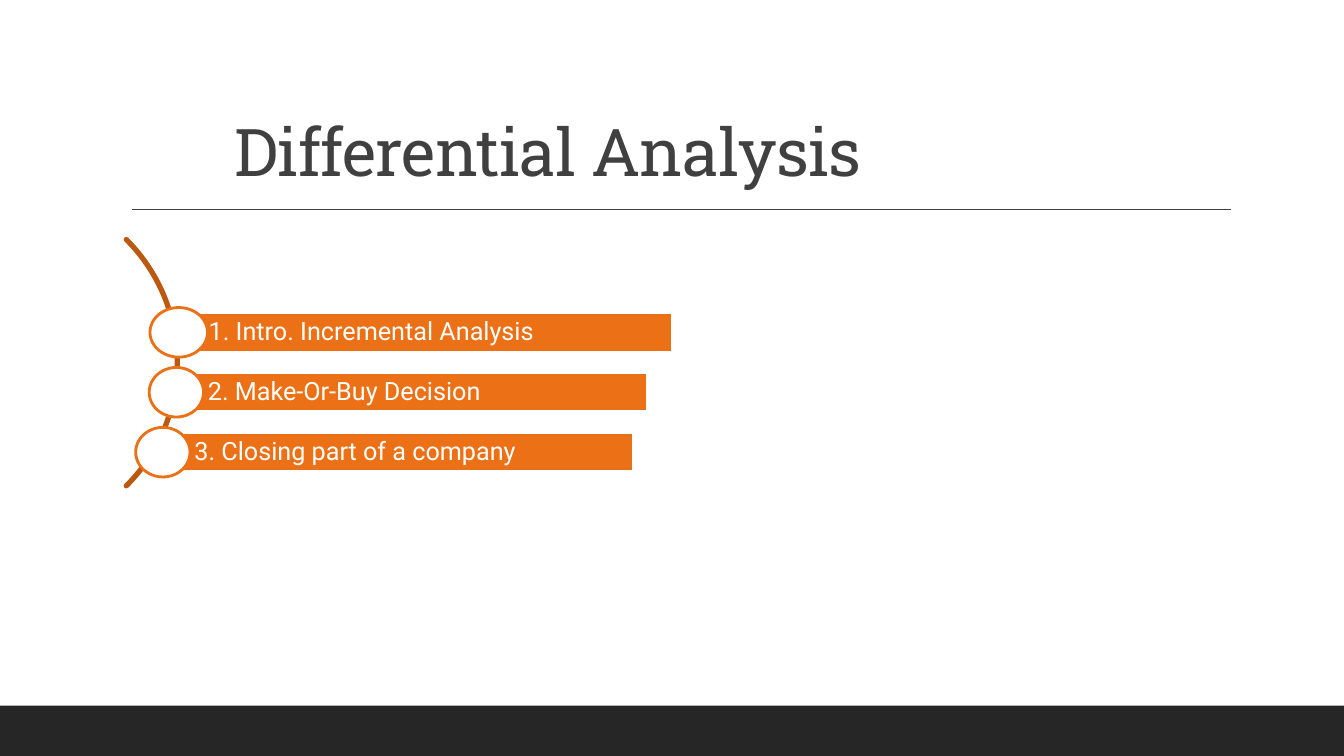
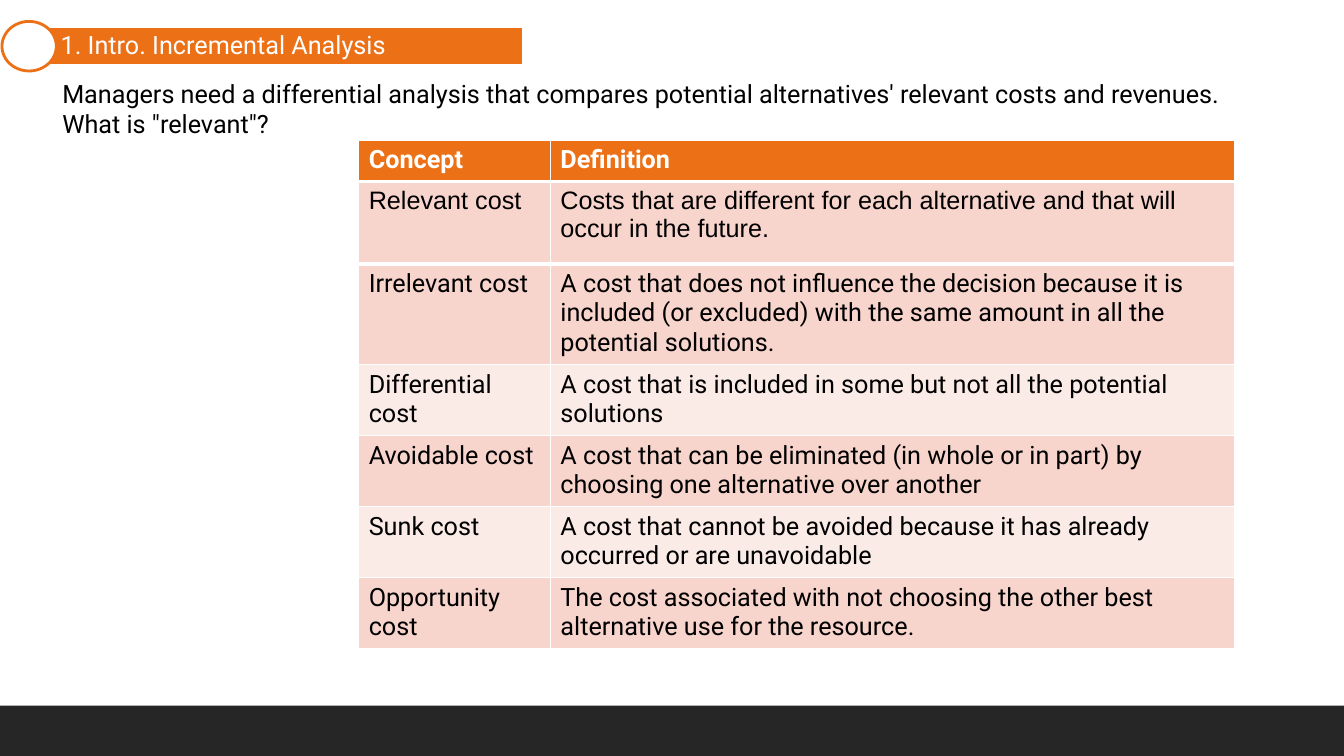
from math import cos, radians, sin

from lxml.etree import SubElement
from pptx import Presentation
from pptx.dml.color import RGBColor
from pptx.enum.shapes import MSO_CONNECTOR, MSO_SHAPE
from pptx.enum.text import MSO_ANCHOR, PP_ALIGN
from pptx.oxml.ns import qn
from pptx.util import Cm, Pt

WHITE = RGBColor(0xFF, 0xFF, 0xFF)
BLACK = RGBColor(0, 0, 0)
GREY = RGBColor(0x40, 0x40, 0x40)
DARK = RGBColor(0x26, 0x26, 0x26)
ORANGE = RGBColor(0xEC, 0x70, 0x16)
RUST = RGBColor(0xBC, 0x59, 0x11)
PINK = RGBColor(0xF7, 0xD4, 0xCC)
PALE = RGBColor(0xFB, 0xEB, 0xE7)

WIDTH, HEIGHT = 33.87, 19.05
BODY = {"name": "Roboto", "size": Pt(18), "bold": False}
HEAD = {**BODY, "bold": True}
PLAIN = {**BODY, "name": "Arial"}
TITLE = {**BODY, "name": "Roboto Slab", "size": Pt(47)}
TIGHT = {"alignment": PP_ALIGN.LEFT, "line_spacing": 0.9}
LABEL = {**TIGHT, "space_after": Pt(6.3)}
INSETS = ("margin_left", "margin_top", "margin_right", "margin_bottom")

TOPICS = [
    ("1. Intro. Incremental Analysis", 4.47, 12.47, 1.45),
    ("2. Make-Or-Buy Decision", 4.45, 11.86, 1.37),
    ("3. Closing part of a company", 4.11, 11.86, 1.37),
]
INTRO = [
    "Managers need a differential analysis that compares potential "
    "alternatives' relevant costs and revenues.",
    'What is "relevant"?',
]
ROWS = [
    ("Concept", "Definition", 1.04, ORANGE, WHITE, HEAD),
    ("Relevant cost",
     "Costs that are different for each alternative and that will occur "
     "in the future.", 2.08, PINK, BLACK, PLAIN),
    ("Irrelevant cost",
     "A cost that does not influence the decision because it is included "
     "(or excluded) with the same amount in all the potential solutions.",
     2.54, PINK, BLACK, BODY),
    ("Differential cost",
     "A cost that is included in some but not all the potential solutions",
     1.79, PALE, BLACK, BODY),
    ("Avoidable cost",
     "A cost that can be eliminated (in whole or in part) by choosing one "
     "alternative over another", 1.79, PINK, BLACK, BODY),
    ("Sunk cost",
     "A cost that cannot be avoided because it has already occurred or are "
     "unavoidable", 1.79, PALE, BLACK, BODY),
    ("Opportunity cost",
     "The cost associated with not choosing the other best alternative use "
     "for the resource.", 1.79, PINK, BLACK, BODY),
]


def apply(target, values):
    """Set every attribute named in a dict of format values."""
    for name, value in values.items():
        setattr(target, name, value)


def write(frame, lines, font, color, para=None):
    """Write lines as paragraphs in one font and colour."""
    for i, line in enumerate(lines):
        part = frame.add_paragraph() if i else frame.paragraphs[0]
        apply(part, para or {})
        run = part.add_run()
        run.text = line
        apply(run.font, font)
        run.font.color.rgb = color


def shape(slide, kind, box, fill, line=None):
    """Add a flat preset shape, outlined only if a line colour is given."""
    item = slide.shapes.add_shape(kind, *map(Cm, box))
    item.shadow.inherit = False
    item.fill.solid()
    item.fill.fore_color.rgb = fill
    if line is None:
        item.line.fill.background()
    else:
        item.line.color.rgb = line
        item.line.width = Pt(2)
    return item


def text(slide, box, lines, font, color, para=None, **values):
    """Add a wrapping text box."""
    frame = slide.shapes.add_textbox(*map(Cm, box)).text_frame
    apply(frame, {"word_wrap": True, **values})
    write(frame, lines, font, color, para)
    return frame


def page(deck):
    """Add a blank slide with the dark foot band."""
    slide = deck.slides.add_slide(deck.slide_layouts[6])
    shape(slide, MSO_SHAPE.RECTANGLE, (0, 17.78, WIDTH, 1.27), DARK)
    return slide


def title(slide, words):
    """Add the slide title and the thin rule below it."""
    frame = text(slide, (5.92, 0.79, 27.94, 4.01), [words], TITLE, GREY, TIGHT,
                 vertical_anchor=MSO_ANCHOR.BOTTOM, **dict.fromkeys(INSETS, 0))
    frame.paragraphs[0].runs[0].font._element.set("spc", "-50")
    rule = slide.shapes.add_connector(
        MSO_CONNECTOR.STRAIGHT, Cm(3.33), Cm(5.27), Cm(31.01), Cm(5.27))
    rule.line.color.rgb = GREY
    rule.line.width = Pt(0.75)
    SubElement(rule._element.spPr, qn("a:effectLst"))


def arc(slide, x, y, radius):
    """Draw a quarter arc that opens to the left."""
    dots = [(Cm(x + radius * cos(radians(a))), Cm(y + radius * sin(radians(a))))
            for a in range(-45, 46)]
    pen = slide.shapes.build_freeform(*dots[0])
    pen.add_line_segments(dots[1:], close=False)
    curve = pen.convert_to_shape()
    curve.shadow.inherit = False
    curve.fill.background()
    curve.line.color.rgb = RUST
    curve.line.width = Pt(3.75)
    curve.line._get_or_add_ln().set("cap", "rnd")


def topic(slide, label, left, top, width, knob):
    """Add a topic bar with a round knob over its left end."""
    bar = shape(slide, MSO_SHAPE.RECTANGLE, (left, top, width, 1), ORANGE, WHITE)
    apply(bar.text_frame, {
        "margin_left": Cm(0.79), "margin_right": Cm(0.13),
        "margin_top": Cm(0.13), "margin_bottom": Cm(0.13),
        "vertical_anchor": MSO_ANCHOR.MIDDLE, "word_wrap": True})
    write(bar.text_frame, [label], BODY, WHITE, LABEL)
    shape(slide, MSO_SHAPE.OVAL, (left - 0.69, top - 0.12, knob, 1.25),
          WHITE, ORANGE)


def border(cell, widths):
    """Give a cell white borders, with a width for each side."""
    props = cell._tc.get_or_add_tcPr()
    for side, width in widths.items():
        line = SubElement(props, qn(f"a:ln{side}"), w=str(Pt(width)))
        fill = SubElement(line, qn("a:solidFill"))
        SubElement(fill, qn("a:srgbClr"), val=str(WHITE))


def table(slide, left, top, cols, rows):
    """Add the table of concepts, with thick rules around its first row."""
    high = sum(row[2] for row in rows)
    grid = slide.shapes.add_table(
        len(rows), len(cols), *map(Cm, (left, top, sum(cols), high))).table
    for col, width in zip(grid.columns, cols):
        col.width = Cm(width)
    for i, (*words, tall, fill, color, font) in enumerate(rows):
        grid.rows[i].height = Cm(tall)
        sides = {"L": 0.96, "R": 0.96, "T": 3 if i in (1, 2) else 0.96,
                 "B": 3 if i in (0, 1) else 0.96}
        for cell, word in zip(grid.rows[i].cells, words):
            border(cell, sides)
            cell.fill.solid()
            cell.fill.fore_color.rgb = fill
            write(cell.text_frame, [word], font, color)


def main():
    """Build both slides and save the deck."""
    deck = Presentation()
    apply(deck, {"slide_width": Cm(WIDTH), "slide_height": Cm(HEIGHT)})

    slide = page(deck)
    title(slide, "Differential Analysis")
    arc(slide, 0.08, 9.14, 4.39)
    for i, (label, left, width, knob) in enumerate(TOPICS):
        topic(slide, label, left, 7.87 + 1.51 * i, width, knob)

    slide = page(deck)
    topic(slide, TOPICS[0][0], 0.74, 0.66, 12.45, 1.37)
    text(slide, (1.32, 1.85, 29.82, 2.57), INTRO, BODY, BLACK)
    table(slide, 9.04, 3.53, (4.83, 17.25), ROWS)

    deck.save("out.pptx")


if __name__ == "__main__":
    main()
